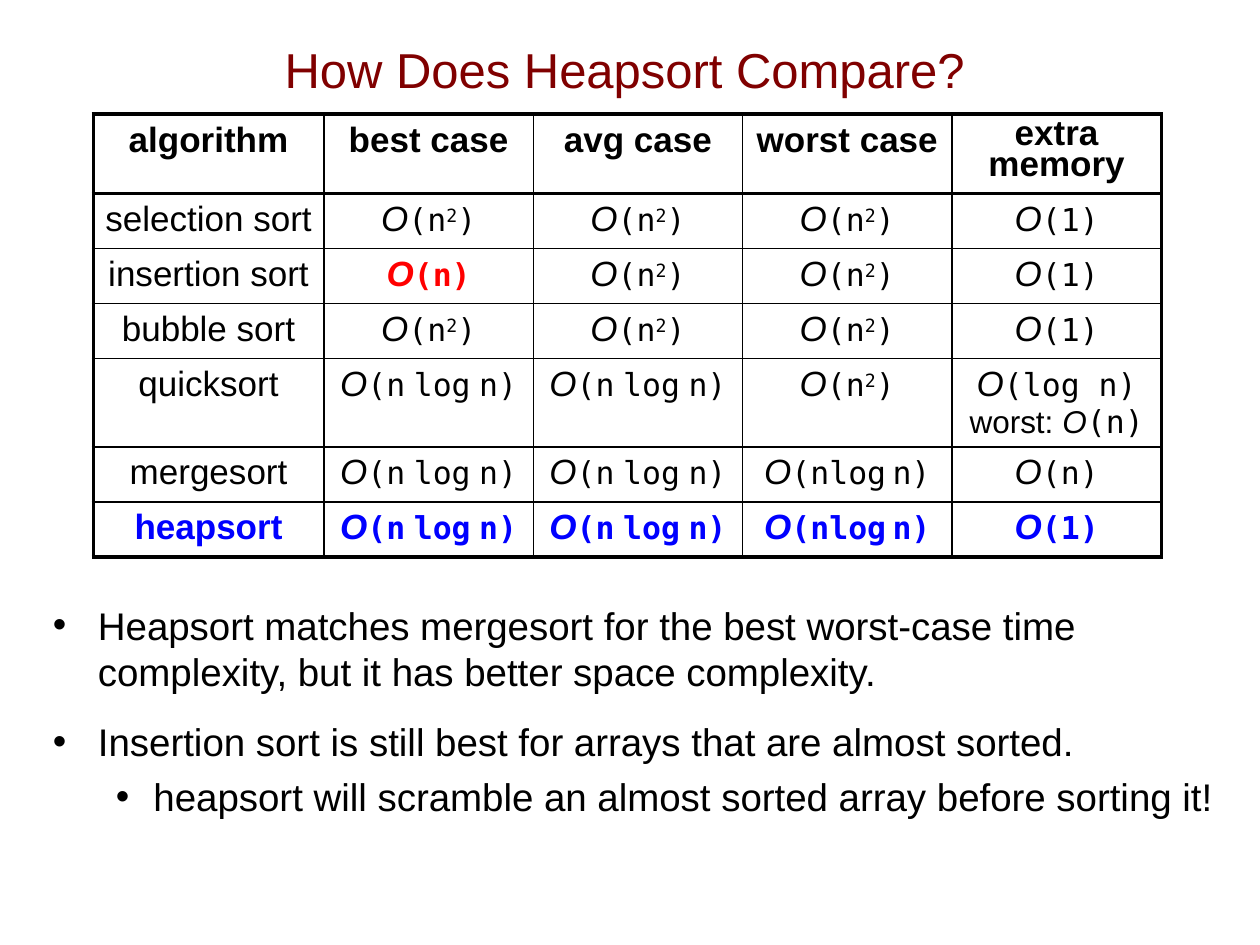
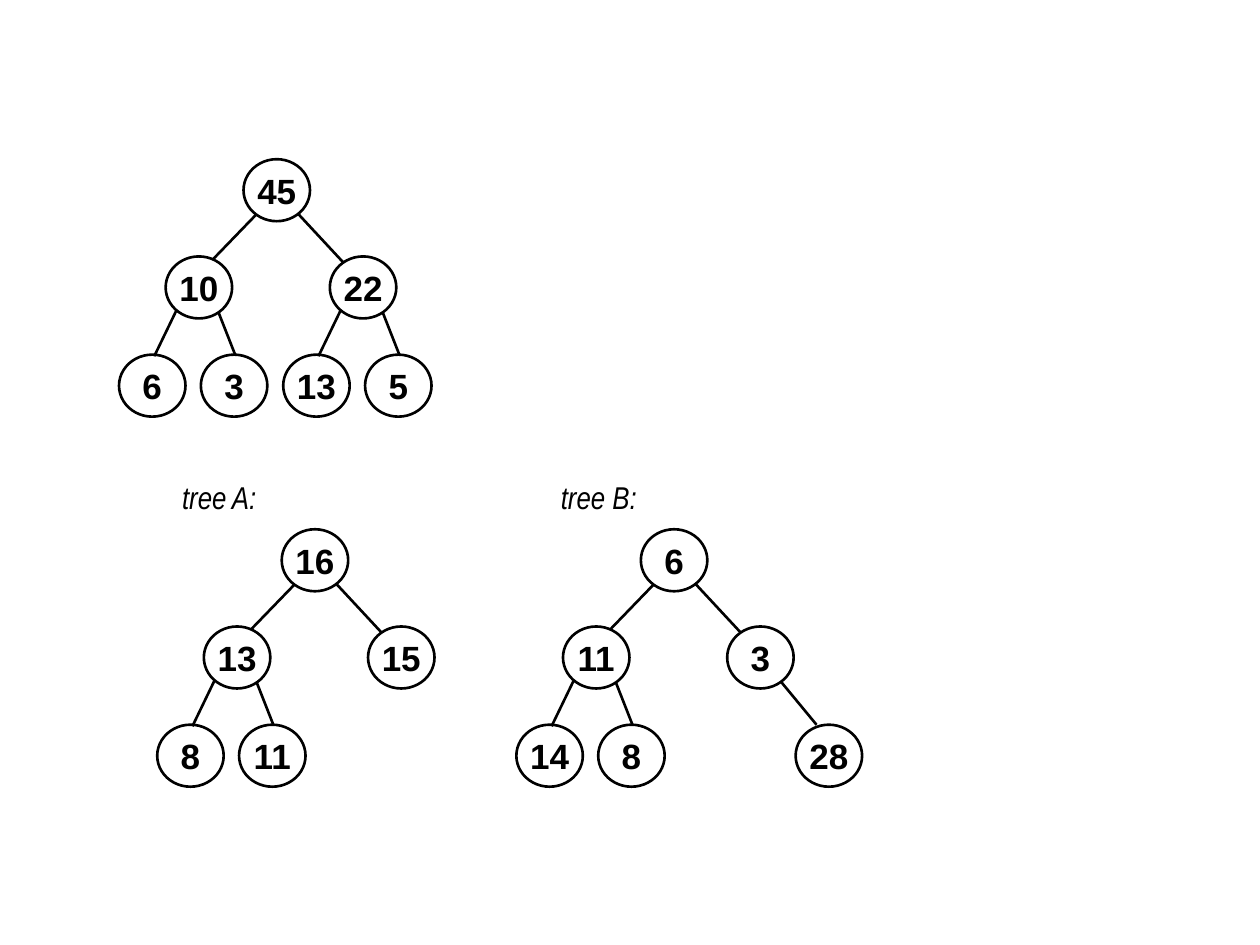
"""Build two slides: a comparison of sorting algorithms and three binary trees."""
from dataclasses import dataclass
from typing import Optional

from lxml.etree import SubElement
from pptx import Presentation
from pptx.dml.color import RGBColor
from pptx.enum.shapes import MSO_CONNECTOR as Connector, MSO_SHAPE as Shape
from pptx.enum.text import MSO_ANCHOR as Anchor, MSO_AUTO_SIZE as AutoSize, PP_ALIGN as Align
from pptx.oxml import parse_xml
from pptx.oxml.ns import nsdecls, qn
from pptx.util import Cm, Pt

BLACK = RGBColor(0x00, 0x00, 0x00)
MAROON = RGBColor(0x80, 0x00, 0x00)
RED = RGBColor(0xFF, 0x00, 0x00)
BLUE = RGBColor(0x00, 0x00, 0xFF)
SANS, NARROW, MONO = "Arial", "Arial Narrow", "DejaVu Sans Mono"
THIN, THICK = 1, 2.25
NODE_WIDTH, NODE_HEIGHT = 1.34, 1.25


@dataclass(frozen=True)
class Span:
    text: str
    size: float = 18
    font: str = MONO
    italic: bool = False
    baseline: int = 0


@dataclass(frozen=True)
class Entry:
    spans: tuple[Span, ...]
    color: RGBColor = BLACK
    bold: bool = False


@dataclass(frozen=True)
class Bullet:
    text: str
    level: int
    indent: float
    hanging: float
    space_before: float


@dataclass(frozen=True)
class Branch:
    child: tuple[float, float]
    start: tuple[float, float]
    end: tuple[float, float]


@dataclass(frozen=True)
class Node:
    value: int
    left: Optional["Node"] = None
    right: Optional["Node"] = None


@dataclass(frozen=True)
class Tree:
    root: Node
    left: float
    top: float
    label: str = ""
    label_left: float = 0


UPPER_LEFT = Branch((-1.57, 1.96), (0.25, 1.12), (-0.61, 2.01))
UPPER_RIGHT = Branch((1.74, 1.96), (1.09, 1.09), (2.01, 2.08))
LOWER_LEFT = Branch((-0.94, 1.98), (0.21, 1.1), (-0.23, 2.01))
LOWER_RIGHT = Branch((0.71, 1.98), (1.07, 1.14), (1.4, 1.98))
LONE_RIGHT = Branch((1.38, 1.98), (1.09, 1.12), (1.8, 1.98))

TREES = (
    Tree(Node(45, Node(10, Node(6), Node(3)), Node(22, Node(13), Node(5))), 4.91, 3.21),
    Tree(Node(16, Node(13, Node(8), Node(11)), Node(15)), 5.68, 10.67, "tree A:", 3.12),
    Tree(Node(6, Node(11, Node(14), Node(8)), Node(3, None, Node(28))),
         12.92, 10.67, "tree B:", 10.79),
)

BIG_O = Span("O", 20, SANS, italic=True)
GAP = Span(" ", 8)
CONSTANT = (BIG_O, Span("(1)"))
LINEAR = (BIG_O, Span("(n)"))
QUADRATIC = (BIG_O, Span("(n"), Span("2", baseline=30000), Span(")"))
LINEARITHMIC = (BIG_O, Span("(n"), GAP, Span("log"), GAP, Span("n)"))
LINEARITHMIC_TIGHT = (BIG_O, Span("(nlog"), Span(" ", 6), Span("n)"))
QUICKSORT_MEMORY = (BIG_O, Span("(log n)"), Span("\n"), Span("worst: ", font=SANS),
                    Span("O", font=SANS, italic=True), Span("(n)"))

HEADINGS = ("algorithm", "best case", "avg case", "worst case", "extra memory")
ALGORITHMS = {
    "selection sort": (QUADRATIC, QUADRATIC, QUADRATIC, CONSTANT),
    "insertion sort": (LINEAR, QUADRATIC, QUADRATIC, CONSTANT),
    "bubble sort": (QUADRATIC, QUADRATIC, QUADRATIC, CONSTANT),
    "quicksort": (LINEARITHMIC, LINEARITHMIC, QUADRATIC, QUICKSORT_MEMORY),
    "mergesort": (LINEARITHMIC, LINEARITHMIC, LINEARITHMIC_TIGHT, LINEAR),
    "heapsort": (LINEARITHMIC, LINEARITHMIC, LINEARITHMIC_TIGHT, CONSTANT),
}
COLUMN_WIDTHS = (4.65, 4.22, 4.22, 4.22, 4.22)
ROW_HEIGHTS = (1.6, 1.11, 1.11, 1.11, 1.76, 1.11, 1.11)

BULLETS = (
    Bullet("Heapsort matches mergesort for the best worst-case time complexity, "
           "but it has better space complexity.", 0, 0.91, -0.91, 0),
    Bullet("Insertion sort is still best for arrays that are almost sorted.", 0, 0.91, -0.91, 14),
    Bullet("heapsort will scramble an almost sorted array before sorting it!",
           1, 2.03, -0.76, 5),
)


def add_text(paragraph, text: str, *, size: float = 20, font: str = SANS,
             color: RGBColor = BLACK, bold: bool = False, italic: bool = False,
             baseline: int = 0) -> None:
    run = paragraph.add_run()
    run.text = text
    run.font.size, run.font.name = Pt(size), font
    run.font.bold, run.font.italic = bold, italic
    run.font.color.rgb = color
    if baseline:
        run.font._element.set("baseline", str(baseline))


def place(shape, left: float, top: float, width: float, height: float) -> None:
    shape.left, shape.top = Cm(left), Cm(top)
    shape.width, shape.height = Cm(width), Cm(height)


def set_title(slide, text: str) -> None:
    title = slide.shapes.title
    place(title, 0.84, 0.2, 23.5, 2.36)
    title.text_frame.vertical_anchor = Anchor.MIDDLE
    paragraph = title.text_frame.paragraphs[0]
    paragraph.alignment = Align.CENTER
    add_text(paragraph, text, size=28, color=MAROON)


def set_bullets(slide, bullets: tuple[Bullet, ...]) -> None:
    body = slide.placeholders[1]
    place(body, 0.81, 12, 24.23, 5.9)
    frame = body.text_frame
    frame.auto_size = AutoSize.NONE
    for index, bullet in enumerate(bullets):
        paragraph = frame.add_paragraph() if index else frame.paragraphs[0]
        paragraph.level = bullet.level
        paragraph.space_before = Pt(bullet.space_before)
        properties = paragraph._p.get_or_add_pPr()
        properties.set("marL", str(Cm(bullet.indent)))
        properties.set("indent", str(Cm(bullet.hanging)))
        SubElement(properties, qn("a:buFont"), typeface=SANS)
        SubElement(properties, qn("a:buChar"), char="•")
        add_text(paragraph, bullet.text, size=22)


def set_borders(cell, widths: dict[str, float]) -> None:
    properties = cell._tc.get_or_add_tcPr()
    for position, (side, width) in enumerate(widths.items()):
        properties.insert(position, parse_xml(
            f'<a:ln{side} {nsdecls("a")} w="{Pt(width)}"><a:solidFill>'
            f'<a:srgbClr val="{BLACK}"/></a:solidFill></a:ln{side}>'))


def fill_cell(cell, entry: Entry) -> None:
    cell.fill.background()
    paragraph = cell.text_frame.paragraphs[0]
    paragraph.alignment = Align.CENTER
    for span in entry.spans:
        if span.text == "\n":
            paragraph.add_line_break()
        else:
            add_text(paragraph, span.text, size=span.size, font=span.font, color=entry.color,
                     bold=entry.bold, italic=span.italic, baseline=span.baseline)


def comparison_rows() -> list[list[Entry]]:
    rows = [[Entry((Span(heading, 20, SANS),), bold=True) for heading in HEADINGS]]
    for name, costs in ALGORITHMS.items():
        emphasis = (BLUE, True) if name == "heapsort" else (BLACK, False)
        rows.append([Entry(spans, *emphasis)
                     for spans in ((Span(name, 20, SANS),), *costs)])
    rows[2][1] = Entry(LINEAR, RED, True)
    return rows


def add_comparison_table(slide) -> None:
    rows = comparison_rows()
    last_row, last_column = len(rows) - 1, len(HEADINGS) - 1
    table = slide.shapes.add_table(
        len(rows), len(HEADINGS), Cm(1.88), Cm(2.3),
        Cm(sum(COLUMN_WIDTHS)), Cm(sum(ROW_HEIGHTS))).table
    table.first_row = table.horz_banding = False
    for column, width in zip(table.columns, COLUMN_WIDTHS):
        column.width = Cm(width)
    for row, height in zip(table.rows, ROW_HEIGHTS):
        row.height = Cm(height)
    for row_index, entries in enumerate(rows):
        for column_index, entry in enumerate(entries):
            cell = table.cell(row_index, column_index)
            fill_cell(cell, entry)
            if row_index and not column_index:
                cell.margin_left = cell.margin_right = 0
            set_borders(cell, {
                "L": THICK if column_index == 0 else THIN,
                "R": THICK if column_index == last_column else THIN,
                "T": THICK if row_index in (0, 1) else THIN,
                "B": THICK if row_index in (0, last_row) else THIN,
            })
    table.cell(0, last_column).text_frame.paragraphs[0].line_spacing = 0.8


def add_edge(slide, left: float, top: float, branch: Branch) -> None:
    (start_x, start_y), (end_x, end_y) = branch.start, branch.end
    edge = slide.shapes.add_connector(
        Connector.STRAIGHT, Cm(left + start_x), Cm(top + start_y),
        Cm(left + end_x), Cm(top + end_y))
    edge.line.color.rgb, edge.line.width = BLACK, Pt(1.5)
    SubElement(edge._element.spPr, qn("a:effectLst"))


def add_node(slide, node: Node, left: float, top: float, depth: int = 0) -> None:
    circle = slide.shapes.add_shape(
        Shape.OVAL, Cm(left), Cm(top), Cm(NODE_WIDTH), Cm(NODE_HEIGHT))
    circle.shadow.inherit = False
    circle.fill.background()
    circle.line.color.rgb, circle.line.width = BLACK, Pt(1.5)
    frame = circle.text_frame
    frame.margin_left = frame.margin_right = frame.margin_top = frame.margin_bottom = 0
    frame.vertical_anchor = Anchor.MIDDLE
    frame.paragraphs[0].alignment = Align.CENTER
    add_text(frame.paragraphs[0], str(node.value), bold=True)

    lower_right = LOWER_RIGHT if node.left else LONE_RIGHT
    branches = (LOWER_LEFT, lower_right) if depth else (UPPER_LEFT, UPPER_RIGHT)
    for child, branch in zip((node.left, node.right), branches):
        if child:
            add_edge(slide, left, top, branch)
            add_node(slide, child, left + branch.child[0], top + branch.child[1], depth + 1)


def add_tree(slide, tree: Tree) -> None:
    add_node(slide, tree.root, tree.left, tree.top)
    if tree.label:
        label = slide.shapes.add_textbox(Cm(tree.label_left), Cm(9.51), Cm(2.3), Cm(1.02))
        label.text_frame.word_wrap = False
        paragraph = label.text_frame.paragraphs[0]
        paragraph.alignment = Align.RIGHT
        add_text(paragraph, tree.label, size=18, font=NARROW, italic=True)


def main() -> None:
    presentation = Presentation()
    presentation.slide_width, presentation.slide_height = Cm(25.4), Cm(19.05)

    comparison = presentation.slides.add_slide(presentation.slide_layouts[1])
    set_title(comparison, "How Does Heapsort Compare?")
    set_bullets(comparison, BULLETS)
    add_comparison_table(comparison)

    trees = presentation.slides.add_slide(presentation.slide_layouts[6])
    for tree in TREES:
        add_tree(trees, tree)

    presentation.save("out.pptx")


if __name__ == "__main__":
    main()
